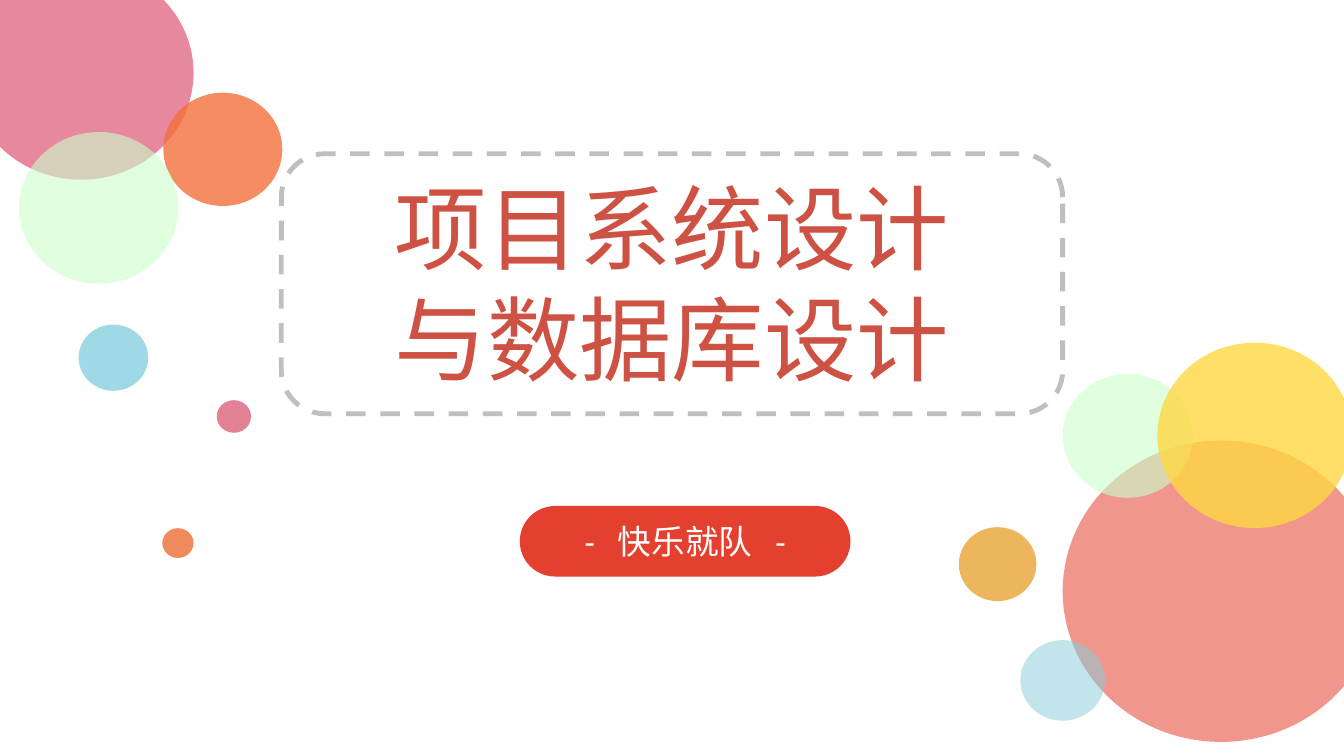
from pptx import Presentation
from pptx.dml.color import RGBColor
from pptx.enum.dml import MSO_LINE
from pptx.enum.shapes import MSO_SHAPE
from pptx.enum.text import MSO_ANCHOR, PP_ALIGN
from pptx.oxml.ns import qn
from pptx.util import Inches, Pt
from lxml import etree

ROUND, OVAL = MSO_SHAPE.ROUNDED_RECTANGLE, MSO_SHAPE.OVAL
DASH, MIDDLE, CENTER = MSO_LINE.DASH, MSO_ANCHOR.MIDDLE, PP_ALIGN.CENTER
UNIT = 0.1
RATIO = 1.05
HAN = "Noto Sans CJK SC"
COLORS = {
    "white": "FFFFFF", "gray": "BFBFBF", "brick": "CE5243", "red": "E4402F",
    "coral": "EF8B81", "sky": "88D0E0", "mint": "CCFFCC", "aqua": "86CDDB",
    "peach": "F2895C", "rose": "DB3D63", "yellow": "FFD842",
    "orange": "F3703B", "pink": "E28194", "amber": "EAA434",
}
LEFT = [
    (7.8, 32.2, 6.9, "sky", 80),
    (16.1, 52.4, 3.1, "peach", 100),
    (-3.1, -3.4, 22.3, "rose", 61),
    (16.2, 9.2, 11.8, "orange", 80),
    (1.9, 13.1, 15.8, "mint", 61),
    (21.5, 39.7, 3.4, "pink", 100),
]
RIGHT = [
    (10.3, 9.7, 31.4, "coral", 90),
    (10.3, 3.1, 12.9, "mint", 61),
    (6.1, 29.5, 8.4, "aqua", 50),
    (19.7, 0, 19.3, "yellow", 80),
    (0, 18.3, 7.7, "amber", 80),
]


def tint(name):
    return RGBColor.from_string(COLORS[name])


def shape(slide, kind, box, fill, alpha=100):
    item = slide.shapes.add_shape(kind, *(Inches(n * UNIT) for n in box))
    item.shadow.inherit = False
    item.fill.solid()
    item.fill.fore_color.rgb = tint(fill)
    item.line.fill.background()
    if alpha < 100:
        color = item.fill._xPr.find(qn("a:solidFill"))[0]
        etree.SubElement(color, qn("a:alpha")).set("val", str(alpha * 1000))
    return item


def write(para, text, size, color, font, gap=0):
    para.alignment = CENTER
    run = para.add_run()
    run.text = text
    run.font.size = Pt(size)
    run.font.name = font
    run.font.color.rgb = tint(color)
    props = run.font._element
    etree.SubElement(props, qn("a:ea")).set("typeface", HAN)
    if gap:
        props.set("spc", str(gap * 100))


def title(slide, box, lines):
    frame = shape(slide, ROUND, box, "white")
    frame.adjustments[0] = 0.167
    frame._element.spPr.find(qn("a:xfrm")).set("flipH", "1")
    frame.line.color.rgb = tint("gray")
    frame.line.width = Pt(3.5)
    frame.line.dash_style = DASH
    body = frame.text_frame
    body.word_wrap = True
    body.vertical_anchor = MIDDLE
    body.margin_top = Inches(0.02)
    for i, line in enumerate(lines):
        para = body.add_paragraph() if i else body.paragraphs[0]
        para.line_spacing = Pt(79.3)
        write(para, line, size=66, color="brick", font=HAN)


def badge(slide, box, name):
    pill = shape(slide, ROUND, box, "red")
    pill.adjustments[0] = 0.5
    pill.text_frame.vertical_anchor = MIDDLE
    para = pill.text_frame.paragraphs[0]
    for text in ("-", " ", name, " ", "-"):
        write(para, text, size=24, color="white", font="Calibri",
              gap=0 if text.strip() else 11)


def bubbles(slide, left, top, dots):
    for x, y, wide, color, alpha in dots:
        shape(slide, OVAL, (left + x, top + y, wide, wide / RATIO), color, alpha)


def main():
    deck = Presentation()
    deck.slide_width = Inches(13.33)
    deck.slide_height = Inches(7.5)
    slide = deck.slides.add_slide(deck.slide_layouts[6])
    title(slide, (27.9, 15.25, 77.5, 25.8), ("项目系统设计", "与数据库设计"))
    badge(slide, (51.55, 50.2, 32.8, 7), "快乐就队")
    bubbles(slide, 0, 0, LEFT)
    bubbles(slide, 95.1, 34, RIGHT)
    deck.save("out.pptx")


if __name__ == "__main__":
    main()
